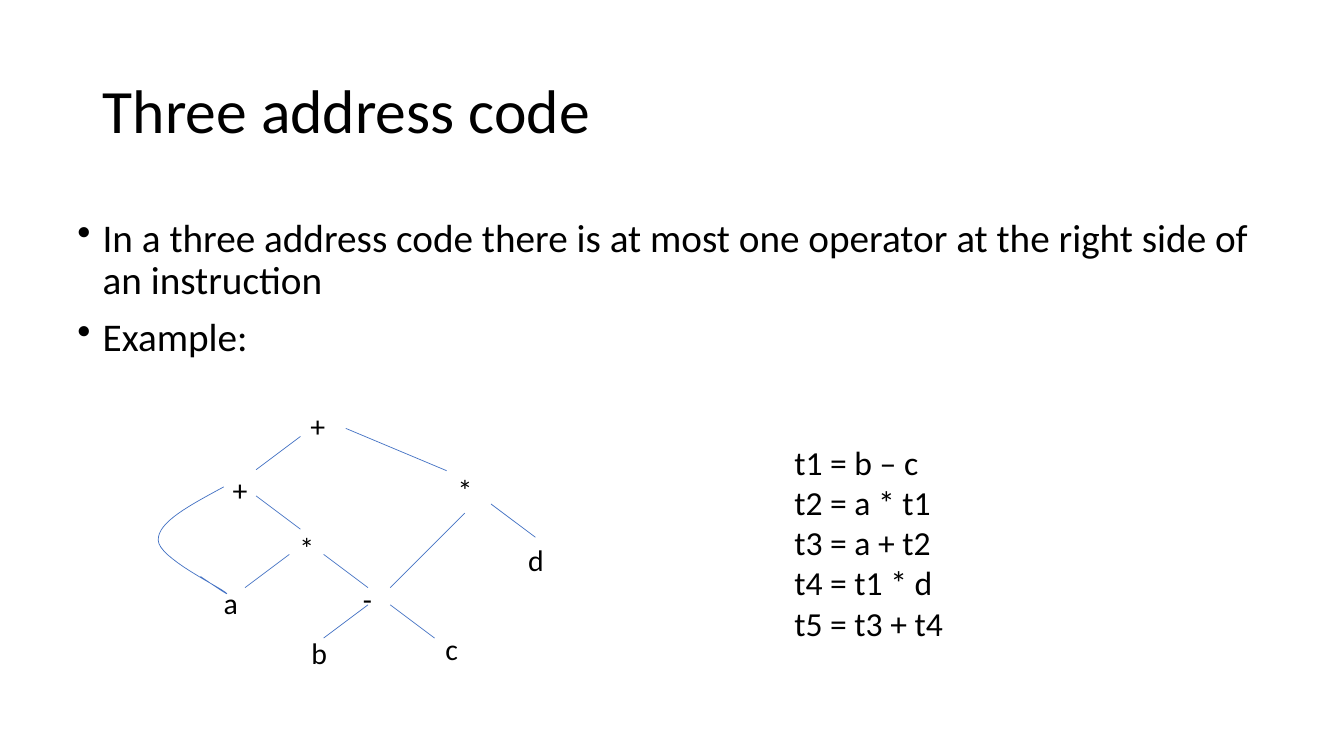
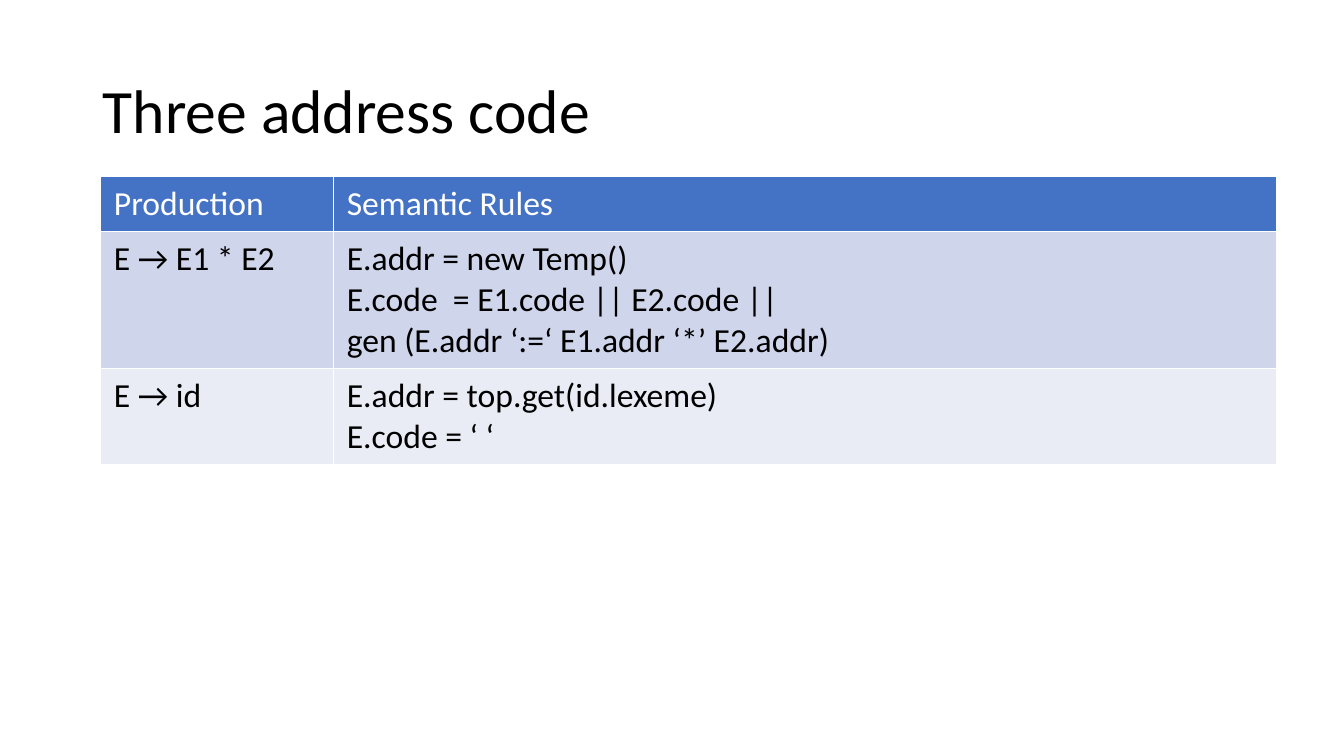
"""Build two slides on three address code."""
from dataclasses import dataclass

from lxml import etree
from pptx import Presentation
from pptx.dml.color import RGBColor
from pptx.enum import shapes, text
from pptx.oxml import ns
from pptx.util import Inches, Pt


@dataclass(frozen=True)
class Theme:
    """Colours, font and type sizes shared by the slides."""
    font: str = "Calibri"
    ink: str = "000000"
    white: str = "FFFFFF"
    accent: str = "4472C4"
    bands: tuple = ("CFD5EA", "E9EBF5")
    title: float = 44
    body: float = 28
    code: float = 24
    node: float = 21.3
    hairline: float = 0.5
    border: float = 1


THEME = Theme()
TITLE = "Three address code"
BULLETS = (
    "In a three address code there is at most one operator at the right side of an instruction",
    "Example:",
)
NODES = (
    ("+", 2.98, 4, 0.35), ("+", 2.21, 4.63, 0.35), ("*", 4.44, 4.63, 0.35),
    ("*", 2.87, 5.21, 0.35), ("-", 3.5, 5.71, 0.29), ("a", 2.12, 5.75, 0.35),
    ("b", 2.99, 6.25, 0.36), ("c", 4.32, 6.21, 0.33), ("d", 5.14, 5.33, 0.36),
)
BRANCH = (0.44, 0.33)
LEFT_BRANCHES = ((2.98, 4.33), (2.87, 5.5), (3.65, 6))
RIGHT_BRANCHES = ((3.21, 5.5), (2.54, 4.92), (3.87, 6), (4.87, 5))
LONG_EDGES = ((3.43, 4.25, 4.43, 4.67), (4.61, 5.09, 3.87, 5.83))
LOOP_CURVES = (
    ((2.22, 4.83), (1.89, 5.01), (1.56, 5.18), (1.57, 5.36)),
    ((1.57, 5.36), (1.57, 5.53), (2.17, 5.82), (2.24, 5.88)),
    ((2.24, 5.88), (2.31, 5.94), (1.99, 5.72), (1.99, 5.72)),
)
CODE = ("t1 = b – c", "t2 = a * t1", "t3 = a + t2", "t4 = t1 * d", "t5 = t3 + t4")
RULES = (
    (("Production",), ("Semantic Rules",)),
    (("E → E1 * E2",), ("E.addr = new Temp()", "E.code  = E1.code || E2.code ||",
                        "gen (E.addr ‘:=‘ E1.addr ‘*’ E2.addr)")),
    (("E → id",), ("E.addr = top.get(id.lexeme)", "E.code = ‘ ‘")),
)
COLUMNS = (2.31, 9.35)
ROWS = (0.54, 1.35, 0.92)


def rgb(color):
    """Turn a hex string into a colour."""
    return RGBColor.from_string(color)


def style(p, size, color=THEME.ink):
    """Set the font of a paragraph."""
    p.font.name, p.font.size, p.font.bold = THEME.font, Pt(size), False
    p.font.color.rgb = rgb(color)


def write(tf, lines, size, color=THEME.ink):
    """Fill a text frame with one paragraph per line."""
    tf.text = "\n".join(lines)
    for p in tf.paragraphs:
        style(p, size, color)


def add_slide(prs):
    """Add a slide with the shared title."""
    s = prs.slides.add_slide(prs.slide_layouts[5])
    sp = s.shapes.title
    sp.left, sp.top, sp.width, sp.height = map(Inches, (0.92, 0.4, 11.5, 1.45))
    tf = sp.text_frame
    write(tf, (TITLE,), THEME.title)
    tf.vertical_anchor = text.MSO_ANCHOR.MIDDLE
    p = tf.paragraphs[0]
    p.alignment, p.line_spacing = text.PP_ALIGN.LEFT, 0.9
    return s


def add_text(s, box, lines, size, wrap=False):
    """Add a text box and return its frame."""
    tf = s.shapes.add_textbox(*map(Inches, box)).text_frame
    tf.word_wrap = wrap
    write(tf, lines, size)
    return tf


def add_bullets(s, box, lines):
    """Add a bulleted text box."""
    tf = add_text(s, box, lines, THEME.body, wrap=True)
    for i, p in enumerate(tf.paragraphs):
        pPr = p._p.get_or_add_pPr()
        pPr.set("marL", str(Inches(0.25)))
        pPr.set("indent", str(Inches(-0.25)))
        bullet = etree.Element(ns.qn("a:buChar"), char="•")
        pPr.insert_element_before(bullet, "a:tabLst", "a:defRPr", "a:extLst")
        p.line_spacing = 0.9
        p.space_before = Pt(10 if i else 0)


def outline(sp):
    """Give a line the tree's colour and weight."""
    sp.line.color.rgb = rgb(THEME.accent)
    sp.line.width = Pt(THEME.hairline)


def add_edge(s, x1, y1, x2, y2):
    """Add a straight tree edge."""
    sp = s.shapes.add_connector(shapes.MSO_CONNECTOR.STRAIGHT, *map(Inches, (x1, y1, x2, y2)))
    outline(sp)
    etree.SubElement(sp._element.spPr, ns.qn("a:effectLst"))


def curve_point(curve, t):
    """Return the point at t on a cubic curve."""
    weights = ((1 - t) ** 3, 3 * t * (1 - t) ** 2, 3 * t * t * (1 - t), t ** 3)
    return tuple(Inches(sum(w * pt[axis] for w, pt in zip(weights, curve))) for axis in (0, 1))


def add_loop(s, curves, steps=16):
    """Add an open curved edge through joined cubic curves."""
    points = [curve_point(c, i / steps) for c in curves for i in range(1, steps + 1)]
    builder = s.shapes.build_freeform(*curve_point(curves[0], 0))
    builder.add_line_segments(points, close=False)
    sp = builder.convert_to_shape()
    sp.shadow.inherit = False
    sp.fill.background()
    outline(sp)


def add_tree(s):
    """Draw the expression graph."""
    dx, dy = BRANCH
    for label, x, y, width in NODES:
        add_text(s, (x, y, width, 0.46), (label,), THEME.node)
    for x, y in LEFT_BRANCHES:
        add_edge(s, x, y, x - dx, y + dy)
    for x, y in RIGHT_BRANCHES:
        add_edge(s, x, y, x + dx, y + dy)
    for edge in LONG_EDGES:
        add_edge(s, *edge)
    add_loop(s, LOOP_CURVES)


def add_borders(cell):
    """Put white lines around a cell."""
    tcPr = cell._tc.get_or_add_tcPr()
    for i, side in enumerate(("lnL", "lnR", "lnT", "lnB")):
        ln = etree.Element(ns.qn(f"a:{side}"), w=str(Pt(THEME.border)))
        fill = etree.SubElement(ln, ns.qn("a:solidFill"))
        etree.SubElement(fill, ns.qn("a:srgbClr"), val=THEME.white)
        tcPr.insert(i, ln)


def add_rules(s, left, top):
    """Add the table of semantic rules."""
    size = map(Inches, (left, top, sum(COLUMNS), sum(ROWS)))
    table = s.shapes.add_table(len(ROWS), len(COLUMNS), *size).table
    for column, width in zip(table.columns, COLUMNS):
        column.width = Inches(width)
    for i, (row, height) in enumerate(zip(table.rows, ROWS)):
        row.height = Inches(height)
        fill = THEME.bands[(i - 1) % 2] if i else THEME.accent
        color = THEME.ink if i else THEME.white
        for cell, lines in zip(row.cells, RULES[i]):
            cell.margin_left = cell.margin_right = Inches(0.13)
            cell.margin_top = cell.margin_bottom = Inches(0.07)
            cell.fill.solid()
            cell.fill.fore_color.rgb = rgb(fill)
            write(cell.text_frame, lines, THEME.code, color)
            add_borders(cell)


def main():
    """Build and save the presentation."""
    prs = Presentation()
    prs.slide_width, prs.slide_height = Inches(13.33), Inches(7.5)
    s = add_slide(prs)
    add_bullets(s, (0.67, 2.12, 12, 1.8), BULLETS)
    add_tree(s)
    add_text(s, (7.78, 4.33, 1.69, 2.52), CODE, THEME.code)
    s = add_slide(prs)
    add_rules(s, 1, 1.75)
    prs.save("out.pptx")


if __name__ == "__main__":
    main()
